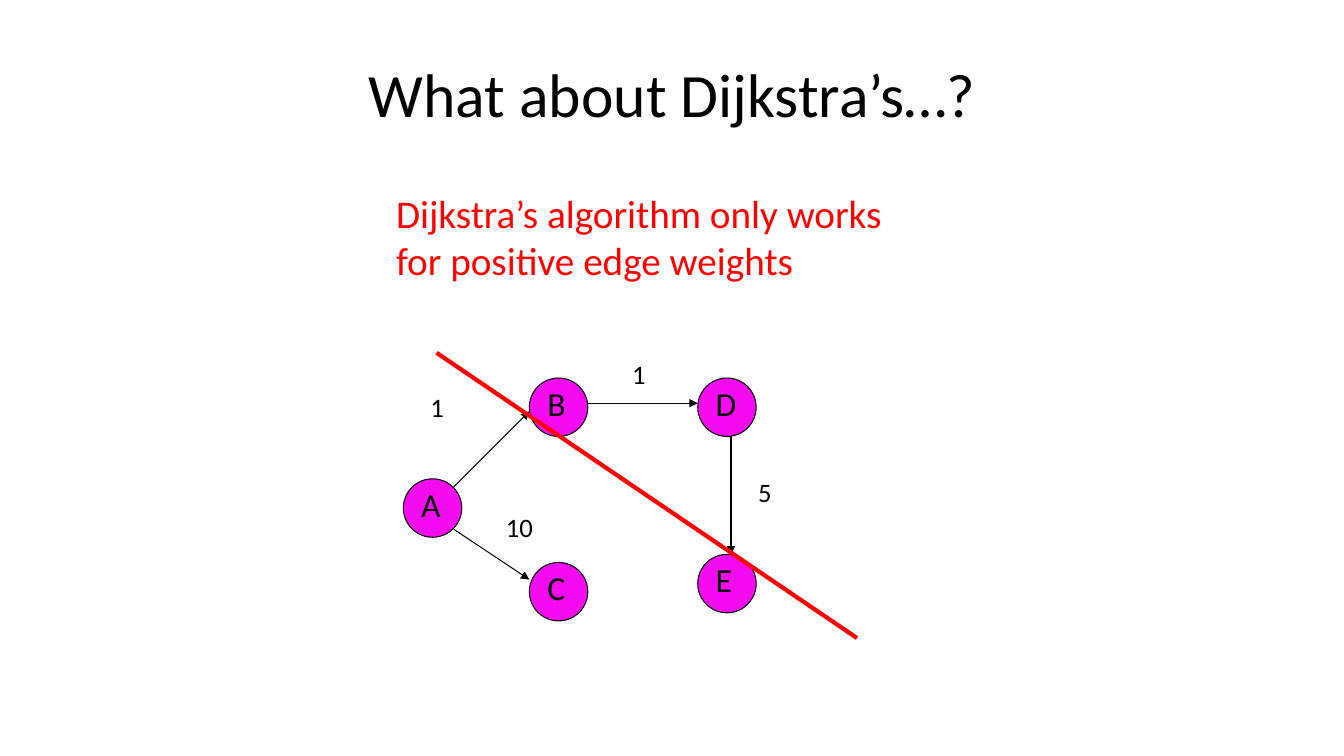
from lxml import etree
from pptx import Presentation
from pptx.dml.color import RGBColor
from pptx.enum.shapes import MSO_CONNECTOR, MSO_SHAPE
from pptx.enum.text import MSO_ANCHOR, PP_ALIGN
from pptx.oxml.ns import qn
from pptx.util import Inches, Pt

STRAIGHT = MSO_CONNECTOR.STRAIGHT
OVAL = MSO_SHAPE.OVAL
TOP, MIDDLE = MSO_ANCHOR.TOP, MSO_ANCHOR.MIDDLE
LEFT, CENTER = PP_ALIGN.LEFT, PP_ALIGN.CENTER

TITLE = ("What about Dijkstra’s…?", 0.67, 0.3, 12, 1.25)
REMARK = ("Dijkstra’s algorithm only works for positive edge weights",
          3.83, 1.83, 5.5, 1.03)
NODES = [("A", 4, 4.75), ("B", 5.25, 3.75), ("C", 5.25, 5.58),
         ("E", 6.92, 5.5), ("D", 6.92, 3.75)]
EDGES = [((4.5, 4.83), (5.25, 4.08)), ((4.5, 5.25), (5.25, 5.75)),
         ((5.83, 4), (6.92, 4)), ((7.25, 4.33), (7.25, 5.5))]
WEIGHTS = [("1", 4.17, 3.83), ("1", 6.17, 3.5),
           ("5", 7.42, 4.67), ("10", 4.92, 5.02)]
STRIKE = ((4.33, 3.5), (8.5, 6.33))

NODE_SIZE = 0.58
LETTER_SIZE, LETTER_SHIFT = 0.5, 0.08
WEIGHT_SIZE = (0.75, 0.42)

THEME = {
    "font": "Calibri",
    "ink": RGBColor(0x00, 0x00, 0x00),
    "alert": RGBColor(0xFF, 0x00, 0x00),
    "node": RGBColor(0xF5, 0x0B, 0xEF),
    "title": Pt(44), "remark": Pt(28), "letter": Pt(24), "weight": Pt(19),
    "thin": Pt(0.75), "thick": Pt(3),
}


def add_text(shapes, text, x, y, w, h, size, color="ink", align=LEFT, anchor=TOP):
    s = shapes.add_textbox(Inches(x), Inches(y), Inches(w), Inches(h))
    tf = s.text_frame
    tf.word_wrap = True
    tf.vertical_anchor = anchor
    tf.text = text
    p = tf.paragraphs[0]
    p.alignment = align
    font = p.runs[0].font
    font.name = THEME["font"]
    font.size = THEME[size]
    font.color.rgb = THEME[color]


def add_node(shapes, letter, x, y):
    group = shapes.add_group_shape()
    s = group.shapes.add_shape(OVAL, Inches(x), Inches(y),
                               Inches(NODE_SIZE), Inches(NODE_SIZE))
    s.shadow.inherit = False
    s.fill.solid()
    s.fill.fore_color.rgb = THEME["node"]
    s.line.color.rgb = THEME["ink"]
    s.line.width = THEME["thin"]
    add_text(group.shapes, letter, x + LETTER_SHIFT, y,
             LETTER_SIZE, LETTER_SIZE, "letter")


def add_line(shapes, start, end, color, width, arrow=False):
    s = shapes.add_connector(STRAIGHT, *(Inches(v) for v in start + end))
    s.line.color.rgb = THEME[color]
    s.line.width = THEME[width]
    if arrow:
        etree.SubElement(s.line._get_or_add_ln(), qn("a:tailEnd"), type="triangle")
    etree.SubElement(s._element.spPr, qn("a:effectLst"))


def main():
    prs = Presentation()
    prs.slide_width, prs.slide_height = Inches(13.33), Inches(7.5)
    shapes = prs.slides.add_slide(prs.slide_layouts[6]).shapes

    add_text(shapes, *TITLE, "title", align=CENTER, anchor=MIDDLE)
    for node in NODES:
        add_node(shapes, *node)
    for start, end in EDGES:
        add_line(shapes, start, end, "ink", "thin", arrow=True)
    for weight in WEIGHTS:
        add_text(shapes, *weight, *WEIGHT_SIZE, "weight")
    add_line(shapes, *STRIKE, "alert", "thick")
    add_text(shapes, *REMARK, "remark", "alert")

    prs.save("out.pptx")


if __name__ == "__main__":
    main()
